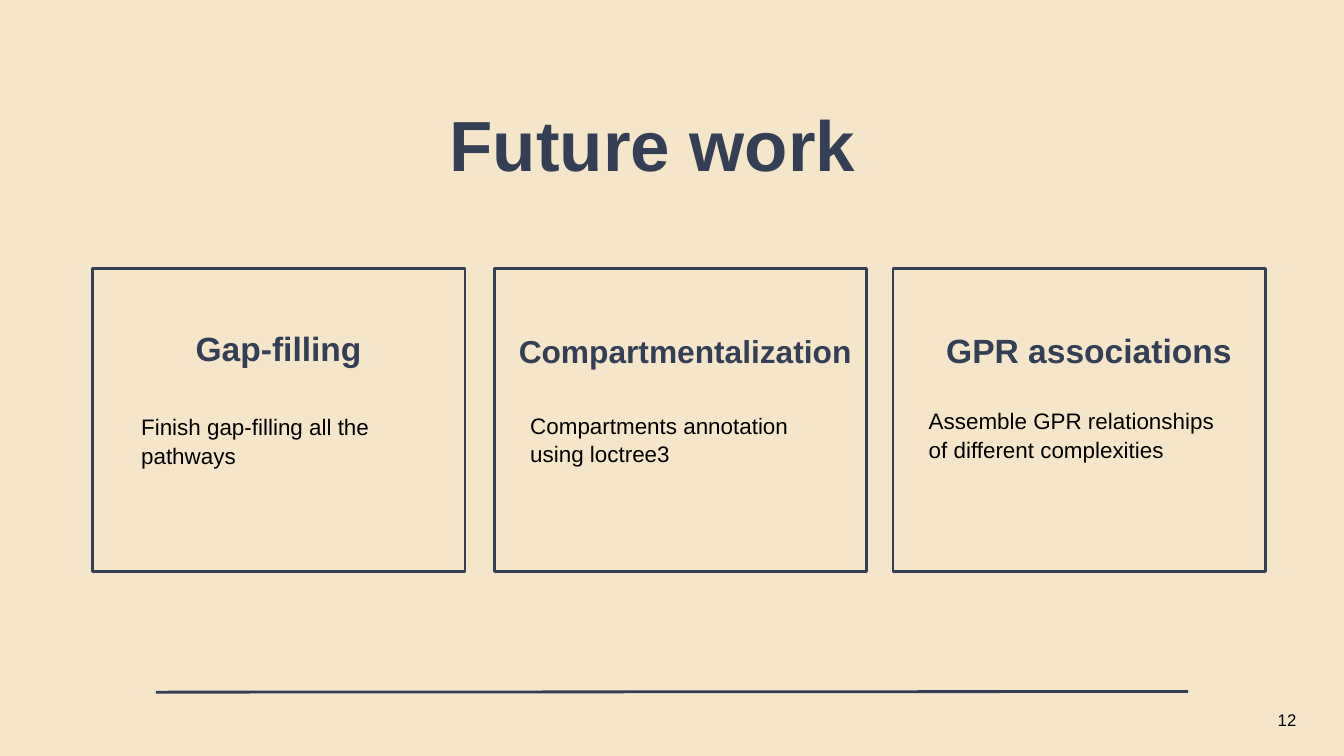
from pptx import Presentation
from pptx.dml.color import RGBColor
from pptx.enum.shapes import MSO_CONNECTOR as Connector, MSO_SHAPE as Shape
from pptx.enum.text import MSO_ANCHOR as Anchor, PP_ALIGN as Align
from pptx.oxml.ns import qn
from pptx.util import Inches, Pt

NAVY = RGBColor(0x34, 0x3F, 0x56)
CREAM = RGBColor(0xF5, 0xE6, 0xCA)
BLACK = RGBColor(0, 0, 0)

CARD_TOP, CARD_WIDTH, CARD_HEIGHT = 4, 5.54, 4.51
CARDS = [
    (1.38, ("Gap-filling", 2.91, 4.9, 2.48, 36),
     ("Finish gap-filling all the pathways", 2.1, 6.12)),
    (7.36, ("Compartmentalization", 7.72, 4.92, 5.37, 34),
     ("Compartments annotation using loctree3", 7.89, 6.1)),
    (13.29, ("GPR associations", 14.08, 4.92, 4.36, 36),
     ("Assemble\u00a0GPR\u00a0relationships of different complexities".replace("\u00a0", " "), 13.82, 6.03)),
]


class SlideBuilder:
    """Draws the elements of one slide in a shared style."""

    font_name = "Arial"
    line_width = Pt(3)

    def __init__(self, slide):
        self.slide = slide
        fill = slide.background.fill
        fill.solid()
        fill.fore_color.rgb = CREAM

    def frame(self, left, top, width, height):
        shape = self.slide.shapes.add_shape(
            Shape.RECTANGLE, Inches(left), Inches(top), Inches(width), Inches(height))
        shape.shadow.inherit = False
        shape.fill.background()
        shape.line.color.rgb = NAVY
        shape.line.width = self.line_width

    def text(self, words, left, top, width, height, size, color=BLACK, bold=False,
             align=Align.LEFT, spacing=None, anchor=Anchor.TOP, margin=0):
        box = self.slide.shapes.add_textbox(
            Inches(left), Inches(top), Inches(width), Inches(height))
        frame = box.text_frame
        frame.word_wrap = True
        frame.vertical_anchor = anchor
        frame.margin_left = frame.margin_right = Inches(margin)
        frame.margin_top = frame.margin_bottom = Inches(margin / 2)
        paragraph = frame.paragraphs[0]
        paragraph.text = words
        paragraph.alignment = align
        if spacing:
            paragraph.line_spacing = Pt(spacing)
        font = paragraph.font
        font.name, font.size, font.bold = self.font_name, Pt(size), bold
        font.color.rgb = color

    def rule(self, x1, y1, x2, y2):
        line = self.slide.shapes.add_connector(
            Connector.STRAIGHT, Inches(x1), Inches(y1), Inches(x2), Inches(y2))
        line.line.color.rgb = NAVY
        line.line.width = self.line_width
        properties = line._element.spPr
        properties.append(properties.makeelement(qn("a:effectLst"), {}))


def main():
    presentation = Presentation()
    presentation.slide_width = Inches(20)
    presentation.slide_height = Inches(11.25)
    builder = SlideBuilder(presentation.slides.add_slide(presentation.slide_layouts[6]))

    builder.text("Future work", 2.65, 1.28, 14.12, 1.36, 76, NAVY, True,
                 Align.CENTER, spacing=106.4)
    for card_left, (heading, left, top, width, size), (body, body_left, body_top) in CARDS:
        builder.frame(card_left, CARD_TOP, CARD_WIDTH, CARD_HEIGHT)
        builder.text(heading, left, top, width, 0.59, size, NAVY, True, spacing=42)
        builder.text(body, body_left, body_top, 4.48, 0.84, 24, spacing=30.8)
    builder.rule(2.32, 10.3, 17.68, 10.29)
    builder.text("12", 17.06, 10.51, 2.33, 0.4, 18, align=Align.RIGHT,
                 anchor=Anchor.MIDDLE, margin=0.1)
    presentation.save("out.pptx")


if __name__ == "__main__":
    main()
